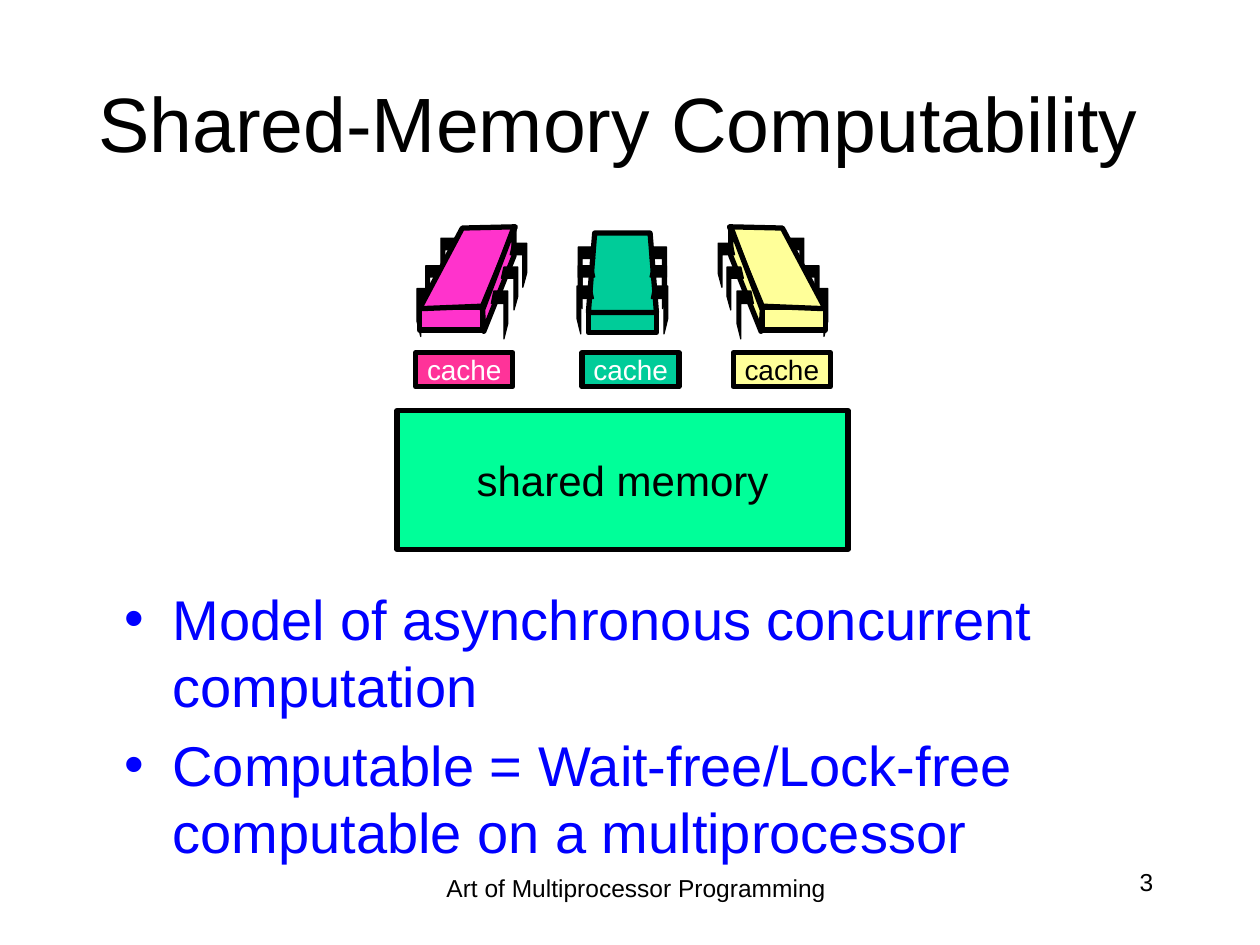
"""Builds the Shared-Memory Computability slide."""
from dataclasses import dataclass, replace

from lxml import etree
from pptx import Presentation
from pptx.dml.color import RGBColor
from pptx.enum.shapes import MSO_SHAPE
from pptx.enum.text import MSO_ANCHOR, PP_ALIGN
from pptx.oxml.ns import qn
from pptx.util import Inches, Pt

RECTANGLE = MSO_SHAPE.RECTANGLE
TOP, MIDDLE = MSO_ANCHOR.TOP, MSO_ANCHOR.MIDDLE
LEFT, CENTER, RIGHT = PP_ALIGN.LEFT, PP_ALIGN.CENTER, PP_ALIGN.RIGHT
FONT = "Arial"
MIRROR_SUM = 9.88
COLORS = {
    "black": "000000", "white": "FFFFFF", "blue": "0000FF",
    "magenta": "FF33CC", "pink": "FF3399", "teal": "00CC99",
    "yellow": "FFFF99", "memory": "00FF99",
}


@dataclass(frozen=True)
class Leg:
    """One chip leg, placed by its outer edge; side is 1 right, -1 left."""
    outer: float
    top: float
    height: float
    side: int

    def mirrored(self) -> "Leg":
        return replace(self, outer=MIRROR_SUM - self.outer, side=-self.side)

    def outline(self) -> list[tuple[float, float]]:
        profile = [(0.11, 0), (0, 0), (0, 0.68), (0.03, 1), (0.03, 0.26), (0.13, 0.26)]
        return [(self.outer - self.side * inward, self.top + self.height * drop)
                for inward, drop in profile]


@dataclass(frozen=True)
class Processor:
    """A chip: front plate, legs behind, faces, and legs before them."""
    color: str
    front: tuple[float, float, float, float]
    back_legs: list[Leg]
    faces: list[list[tuple[float, float]]]
    front_legs: list[Leg]

    def mirrored(self, color: str) -> "Processor":
        left, top, width, height = self.front
        return Processor(
            color,
            (MIRROR_SUM - left - width, top, width, height),
            [leg.mirrored() for leg in self.back_legs],
            [[(MIRROR_SUM - x, y) for x, y in face] for face in self.faces],
            [leg.mirrored() for leg in self.front_legs],
        )


@dataclass(frozen=True)
class Box:
    """A labelled storage box."""
    label: str
    area: tuple[float, float, float, float]
    fill: str
    ink: str
    size: int


@dataclass(frozen=True)
class Caption:
    """A block of plain or bulleted text."""
    paragraphs: list[str]
    area: tuple[float, float, float, float]
    size: int
    ink: str = "black"
    align: PP_ALIGN = CENTER
    anchor: MSO_ANCHOR = TOP
    bulleted: bool = False


LEFT_CHIP = Processor(
    "magenta", (3.33, 2.44, 0.5, 0.18),
    [Leg(3.31, 2.29, 0.38, -1), Leg(3.38, 2.11, 0.34, -1), Leg(3.5, 1.89, 0.35, -1)],
    [[(3.33, 2.45), (3.83, 2.43), (4.09, 1.8), (3.67, 1.81)],
     [(4.08, 1.8), (4.08, 2.03), (3.84, 2.63), (3.83, 2.46)]],
    [Leg(4.03, 2.31, 0.38, 1), Leg(4.11, 2.12, 0.34, 1), Leg(4.18, 1.93, 0.35, 1)],
)
MIDDLE_CHIP = Processor(
    "teal", (4.67, 2.48, 0.54, 0.16), [],
    [[(4.72, 1.85), (5.16, 1.85), (5.21, 2.48), (4.67, 2.48)]],
    [Leg(outer, top, height, side)
     for side, edges in ((1, (5.3, 5.29, 5.29)), (-1, (4.58, 4.59, 4.59)))
     for outer, top, height in zip(edges, (2.27, 2.11, 1.96), (0.38, 0.34, 0.35))],
)
PROCESSORS = [MIDDLE_CHIP, LEFT_CHIP, LEFT_CHIP.mirrored("yellow")]
CACHES = [
    Box("cache", (left, 2.8, 0.77, 0.27), fill, ink, 16)
    for left, fill, ink in ((3.3, "pink", "white"), (4.62, "teal", "white"),
                            (5.82, "yellow", "black"))
]
MEMORY = Box("shared memory", (3.15, 3.26, 3.58, 1.1), "memory", "black", 24)
CAPTIONS = [
    Caption(["Shared-Memory Computability"], (0.33, 0.34, 9.16, 1.25), 44, anchor=MIDDLE),
    Caption(["Model of asynchronous concurrent computation",
             "Computable = Wait-free/Lock-free computable on a multiprocessor"],
            (0.89, 4.59, 9.11, 2.04), 32, "blue", LEFT, bulleted=True),
    Caption(["3"], (7.17, 6.83, 2.08, 0.5), 14, align=RIGHT),
    Caption(["Art of Multiprocessor Programming"], (3.23, 6.88, 3.64, 0.5), 14),
]


def rgb(name: str) -> RGBColor:
    return RGBColor.from_string(COLORS[name])


def paint(shape, fill: str, line_width: float) -> None:
    shape.shadow.inherit = False
    shape.fill.solid()
    shape.fill.fore_color.rgb = rgb(fill)
    shape.line.color.rgb = rgb("black")
    shape.line.width = Pt(line_width)


def write(paragraph, text: str, size: int, ink: str, align: PP_ALIGN) -> None:
    paragraph.alignment = align
    run = paragraph.add_run()
    run.text = text
    run.font.name = FONT
    run.font.size = Pt(size)
    run.font.color.rgb = rgb(ink)


def add_bullet(paragraph, size: int) -> None:
    paragraph.space_before = Pt(0.2 * size)
    properties = paragraph._p.get_or_add_pPr()
    properties.set("marL", str(Inches(0.38)))
    properties.set("indent", str(Inches(-0.38)))
    etree.SubElement(properties, qn("a:buFont"), typeface=FONT)
    etree.SubElement(properties, qn("a:buChar"), char="•")


def draw_rectangle(shapes, area: tuple[float, float, float, float], fill: str):
    rectangle = shapes.add_shape(RECTANGLE, *map(Inches, area))
    paint(rectangle, fill, 3)
    return rectangle


def draw_outline(shapes, points: list[tuple[float, float]], fill: str, line_width: float) -> None:
    start, *rest = [(Inches(x), Inches(y)) for x, y in points]
    builder = shapes.build_freeform(*start)
    builder.add_line_segments(rest, close=True)
    paint(builder.convert_to_shape(), fill, line_width)


def draw_processor(shapes, processor: Processor) -> None:
    draw_rectangle(shapes, processor.front, processor.color)
    for leg in processor.back_legs:
        draw_outline(shapes, leg.outline(), "black", 0.75)
    for face in processor.faces:
        draw_outline(shapes, face, processor.color, 3)
    for leg in processor.front_legs:
        draw_outline(shapes, leg.outline(), "black", 0.75)


def draw_box(shapes, box: Box) -> None:
    frame = draw_rectangle(shapes, box.area, box.fill).text_frame
    frame.word_wrap = False
    frame.vertical_anchor = MIDDLE
    write(frame.paragraphs[0], box.label, box.size, box.ink, CENTER)


def draw_caption(shapes, caption: Caption) -> None:
    frame = shapes.add_textbox(*map(Inches, caption.area)).text_frame
    frame.word_wrap = True
    frame.vertical_anchor = caption.anchor
    for index, text in enumerate(caption.paragraphs):
        paragraph = frame.add_paragraph() if index else frame.paragraphs[0]
        write(paragraph, text, caption.size, caption.ink, caption.align)
        if caption.bulleted:
            add_bullet(paragraph, caption.size)


def main() -> None:
    presentation = Presentation()
    presentation.slide_width, presentation.slide_height = Inches(10), Inches(7.5)
    shapes = presentation.slides.add_slide(presentation.slide_layouts[6]).shapes
    for processor in PROCESSORS:
        draw_processor(shapes, processor)
    for box in [*CACHES, MEMORY]:
        draw_box(shapes, box)
    for caption in CAPTIONS:
        draw_caption(shapes, caption)
    presentation.save("out.pptx")


if __name__ == "__main__":
    main()
